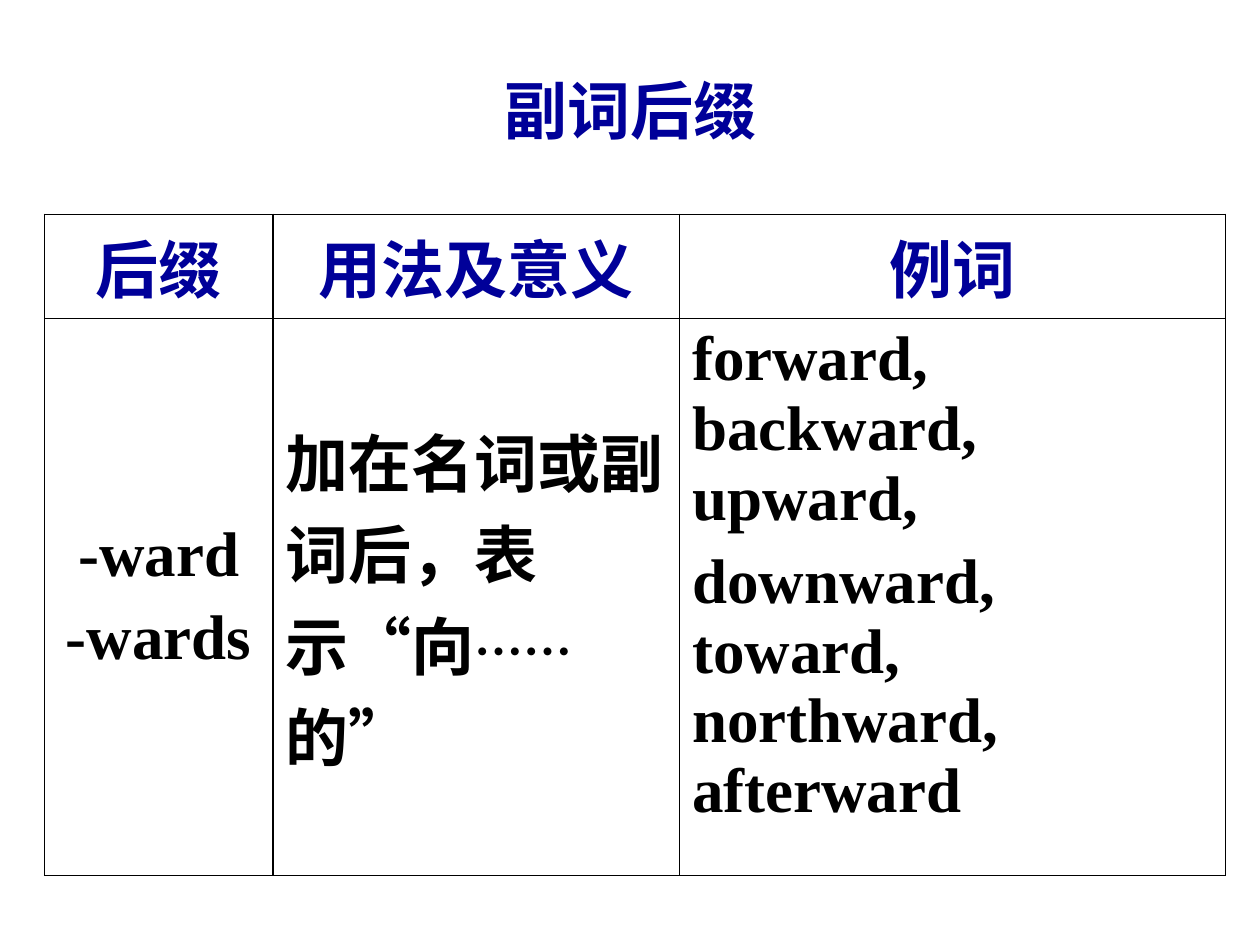
import pptx
import pptx.dml.color
import pptx.enum.text
import pptx.oxml
import pptx.oxml.ns
import pptx.util
from pptx.util import Cm

NAVY = pptx.dml.color.RGBColor(0x00, 0x00, 0x99)
BLACK = pptx.dml.color.RGBColor(0x00, 0x00, 0x00)
LATIN_FONT = "Times New Roman"
CHINESE_FONT = "Noto Sans CJK SC"
TEXT_SIZE = 36
ELLIPSIS = "……"

CENTER = pptx.enum.text.PP_ALIGN.CENTER
LEFT = pptx.enum.text.PP_ALIGN.LEFT
MIDDLE = pptx.enum.text.MSO_ANCHOR.MIDDLE
TOP = pptx.enum.text.MSO_ANCHOR.TOP

COLUMN_WIDTHS = [4.6, 8.2, 11.01]
ROW_HEIGHTS = [2.1, 11.23]
HEADINGS = ["后缀", "用法及意义", "例词"]
# Each body cell: paragraphs of runs, alignment, anchor
BODY = [
    ([["-ward"], ["-wards"]], CENTER, MIDDLE),
    ([["加在名词或副词后，表示“向", ELLIPSIS, "的”"]], LEFT, MIDDLE),
    ([["forward, backward, upward,"],
      ["downward, toward, northward, afterward"]], LEFT, TOP),
]


def add_run(paragraph, text, color):
    run = paragraph.add_run()
    run.text = text
    font = run.font
    is_ellipsis = text == ELLIPSIS
    font.size = pptx.util.Pt(28 if is_ellipsis else TEXT_SIZE)
    font.bold = True
    font.color.rgb = color
    font.name = CHINESE_FONT if is_ellipsis else LATIN_FONT
    east_asian = pptx.oxml.parse_xml(
        f'<a:ea {pptx.oxml.ns.nsdecls("a")} typeface="{CHINESE_FONT}"/>')
    font._element.append(east_asian)


def add_borders(cell):
    properties = cell._tc.get_or_add_tcPr()
    for side in ("L", "R", "T", "B"):
        properties.append(pptx.oxml.parse_xml(
            f'<a:ln{side} {pptx.oxml.ns.nsdecls("a")} w="12700">'
            f'<a:solidFill><a:srgbClr val="{BLACK}"/></a:solidFill></a:ln{side}>'))


def fill_cell(cell, paragraphs, alignment, anchor, color):
    add_borders(cell)
    cell.fill.background()
    cell.vertical_anchor = anchor
    frame = cell.text_frame
    for index, runs in enumerate(paragraphs):
        paragraph = frame.add_paragraph() if index else frame.paragraphs[0]
        paragraph.alignment = alignment
        if index:
            paragraph.space_before = pptx.util.Pt(7.7)
        for text in runs:
            add_run(paragraph, text, color)


def place_heading(slide, left, top, width, height):
    heading = slide.shapes.title
    heading.left, heading.top = left, top
    heading.width, heading.height = width, height
    frame = heading.text_frame
    frame.word_wrap = False
    frame.auto_size = pptx.enum.text.MSO_AUTO_SIZE.SHAPE_TO_FIT_TEXT
    frame.vertical_anchor = MIDDLE
    frame.paragraphs[0].alignment = CENTER
    add_run(frame.paragraphs[0], "副词后缀", NAVY)


def add_suffix_table(slide, left, top, width, height):
    suffixes = slide.shapes.add_table(
        len(ROW_HEIGHTS), len(COLUMN_WIDTHS), left, top, width, height).table
    suffixes.first_row = False
    suffixes.horz_banding = False
    for column, column_width in zip(suffixes.columns, COLUMN_WIDTHS):
        column.width = Cm(column_width)
    for row, row_height in zip(suffixes.rows, ROW_HEIGHTS):
        row.height = Cm(row_height)
    for index, (heading, body) in enumerate(zip(HEADINGS, BODY)):
        fill_cell(suffixes.cell(0, index), [[heading]], CENTER, MIDDLE, NAVY)
        fill_cell(suffixes.cell(1, index), *body, BLACK)


def main():
    presentation = pptx.Presentation()
    presentation.slide_width, presentation.slide_height = Cm(25.4), Cm(19.05)
    slide = presentation.slides.add_slide(presentation.slide_layouts[5])
    place_heading(slide, Cm(9.9), Cm(1.32), Cm(5.6), Cm(1.78))
    add_suffix_table(slide, Cm(0.9), Cm(4.32),
                     Cm(sum(COLUMN_WIDTHS)), Cm(sum(ROW_HEIGHTS)))
    presentation.save("out.pptx")


if __name__ == "__main__":
    main()
